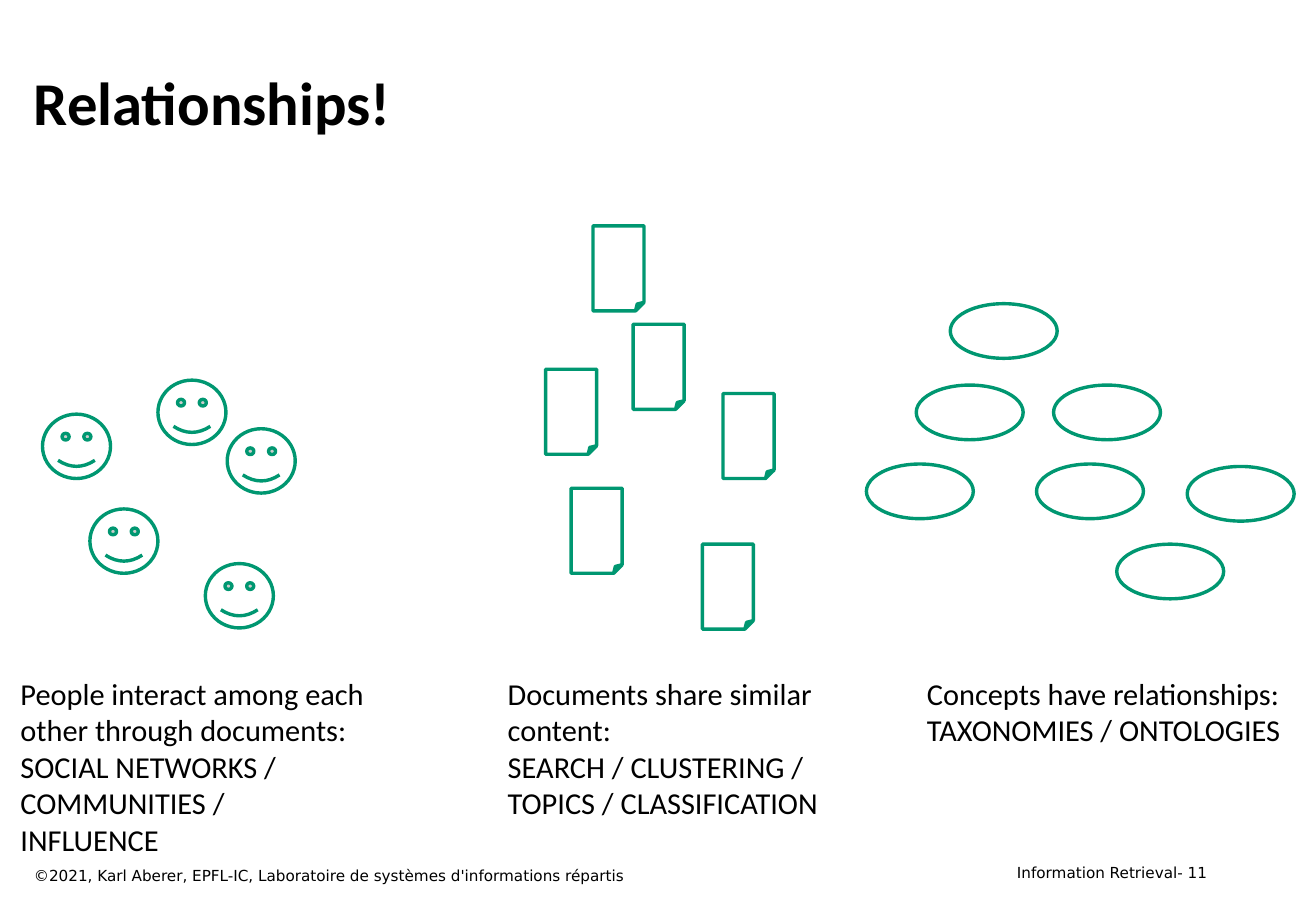
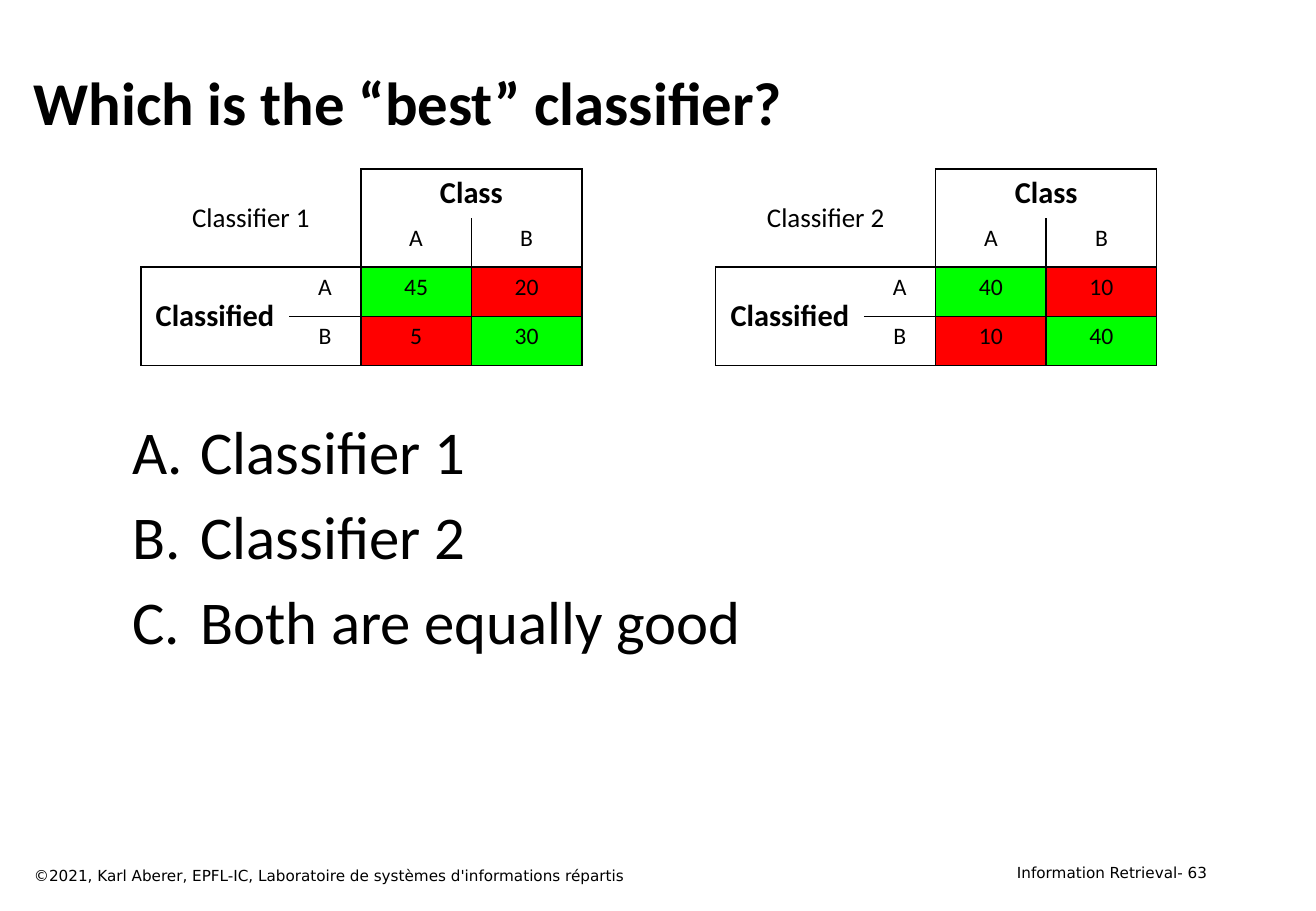
from lxml import etree
from pptx import Presentation
from pptx import util as u
from pptx.dml.color import RGBColor
from pptx.enum import shapes, text
from pptx.oxml import ns

BLACK, WHITE, TEAL = "000000", "FFFFFF", "009771"
GREEN, RED = "00FF00", "FF0000"
BODY_FONT, FOOTER_FONT = "Calibri", "DejaVu Sans"
COPYRIGHT = "©2021, Karl Aberer, EPFL-IC, Laboratoire de systèmes d'informations répartis"

PEOPLE = [(0.74, 4.19), (0.35, 3.41), (1.69, 4.64), (1.87, 3.53), (1.3, 3.13)]
DOCUMENTS = [(5.78, 4.48), (4.7, 4.02), (4.88, 1.86), (4.49, 3.04), (5.21, 2.67), (5.95, 3.24)]
CONCEPTS = [(7.82, 2.5), (7.54, 3.17), (8.67, 3.17), (7.13, 3.82), (8.53, 3.82),
            (9.77, 3.84), (9.19, 4.48)]
CAPTIONS = [
    (0.07, 3.62, ["People interact among each other through documents:",
                  "SOCIAL NETWORKS / COMMUNITIES /", "INFLUENCE"]),
    (4.08, 3.15, ["Documents share similar content:",
                  "SEARCH / CLUSTERING / TOPICS / CLASSIFICATION"]),
    (7.53, 3.2, ["Concepts have relationships:", "TAXONOMIES / ONTOLOGIES"]),
]

MATRIX_COLUMNS = [1.22, 0.59, 0.91, 0.91]
MATRIX_MERGES = [((0, 0), (1, 1)), ((0, 2), (0, 3)), ((2, 0), (3, 0))]
MATRIX_BORDERS = [
    ["RB", "R", "LTR", "TR"],
    ["B", "RB", "LRB", "LRB"],
    ["LTB", "TRB", "LRTB", "LRTB"],
    ["LB", "TRB", "LRTB", "LRTB"],
]


def color(hex_code):
    return RGBColor.from_string(hex_code)


def write(paragraph, words, size, font=BODY_FONT, bold=False):
    run = paragraph.add_run()
    run.text = words
    run.font.size = u.Pt(size)
    run.font.name = font
    run.font.bold = bold
    run.font.color.rgb = color(BLACK)


def add_text(slide, box, lines, size, font=BODY_FONT, bold=False, align=text.PP_ALIGN.LEFT,
             anchor=text.MSO_ANCHOR.TOP):
    frame = slide.shapes.add_textbox(*map(u.Inches, box)).text_frame
    frame.word_wrap = True
    frame.vertical_anchor = anchor
    for index, line in enumerate(lines):
        paragraph = frame.add_paragraph() if index else frame.paragraphs[0]
        paragraph.alignment = align
        write(paragraph, line, size, font, bold)
    return frame


def add_slide(deck, title, number):
    slide = deck.slides.add_slide(deck.slide_layouts[6])
    add_text(slide, (0.18, 0.33, 9.84, 1), [title], 36, bold=True,
             anchor=text.MSO_ANCHOR.MIDDLE)
    add_text(slide, (0.18, 7.08, 6.95, 0.25), [COPYRIGHT], 9, FOOTER_FONT)
    add_text(slide, (7.77, 7.06, 2.26, 0.25), [f"Information Retrieval- {number}"], 9,
             FOOTER_FONT, align=text.PP_ALIGN.RIGHT)
    return slide


def add_icons(slide, kind, places, width, height):
    for left, top in places:
        icon = slide.shapes.add_shape(kind, *map(u.Inches, (left, top, width, height)))
        icon.shadow.inherit = False
        icon.fill.solid()
        icon.fill.fore_color.rgb = color(WHITE)
        icon.line.color.rgb = color(TEAL)
        icon.line.width = u.Pt(2)


def add_choices(slide, box, choices):
    frame = add_text(slide, box, choices, 36)
    for index, paragraph in enumerate(frame.paragraphs):
        properties = paragraph._p.get_or_add_pPr()
        properties.set("marL", str(u.Inches(0.94)))
        properties.set("indent", str(u.Inches(-0.56)))
        numbering = etree.SubElement(properties, ns.qn("a:buAutoNum"))
        numbering.set("type", "alphaUcPeriod")
        if index:
            paragraph.space_before = u.Pt(7.2)


def set_borders(cell, drawn):
    properties = cell._tc.get_or_add_tcPr()
    for side in "LRTB":
        edge = etree.SubElement(properties, ns.qn(f"a:ln{side}"), w=str(u.Pt(1)))
        if side in drawn:
            fill = etree.SubElement(edge, ns.qn("a:solidFill"))
            etree.SubElement(fill, ns.qn("a:srgbClr"), val=BLACK)
        else:
            etree.SubElement(edge, ns.qn("a:noFill"))


def write_cell(cell, words, size=14, bold=False, anchor=text.MSO_ANCHOR.TOP):
    cell.vertical_anchor = anchor
    paragraph = cell.text_frame.paragraphs[0]
    paragraph.alignment = text.PP_ALIGN.CENTER
    write(paragraph, words, size, bold=bold)


def add_confusion_matrix(slide, left, name, counts):
    box = map(u.Inches, (left, 1.39, sum(MATRIX_COLUMNS), 1.62))
    matrix = slide.shapes.add_table(4, 4, *box).table
    matrix.first_row = matrix.horz_banding = False
    for column, width in zip(matrix.columns, MATRIX_COLUMNS):
        column.width = u.Inches(width)
    for row, borders in enumerate(MATRIX_BORDERS):
        for column, drawn in enumerate(borders):
            cell = matrix.cell(row, column)
            set_borders(cell, drawn)
            cell.fill.background()
    for first, last in MATRIX_MERGES:
        matrix.cell(*first).merge(matrix.cell(*last))

    middle = text.MSO_ANCHOR.MIDDLE
    write_cell(matrix.cell(0, 0), name, 16, anchor=middle)
    write_cell(matrix.cell(0, 2), "Class", 18, True, middle)
    write_cell(matrix.cell(2, 0), "Classified", 18, True, middle)
    for index, label in enumerate("AB"):
        write_cell(matrix.cell(1, 2 + index), label)
        write_cell(matrix.cell(2 + index, 1), label)
        for predicted, count in enumerate(counts[index]):
            cell = matrix.cell(2 + index, 2 + predicted)
            write_cell(cell, str(count))
            cell.fill.solid()
            cell.fill.fore_color.rgb = color(GREEN if index == predicted else RED)


def add_relationships(deck):
    slide = add_slide(deck, "Relationships!", 11)
    add_icons(slide, shapes.MSO_SHAPE.SMILEY_FACE, PEOPLE, 0.56, 0.53)
    add_icons(slide, shapes.MSO_SHAPE.FOLDED_CORNER, DOCUMENTS, 0.42, 0.7)
    add_icons(slide, shapes.MSO_SHAPE.OVAL, CONCEPTS, 0.88, 0.45)
    for left, width, lines in CAPTIONS:
        add_text(slide, (left, 5.51, width, 1.6), lines, 18)


def add_classifier_question(deck):
    slide = add_slide(deck, "Which is the “best” classifier?", 63)
    add_confusion_matrix(slide, 1.16, "Classifier 1", [(45, 20), (5, 30)])
    add_confusion_matrix(slide, 5.89, "Classifier 2", [(40, 10), (10, 40)])
    add_choices(slide, (0.61, 3.36, 9.08, 3.61),
                ["Classifier 1", "Classifier 2", "Both are equally good"])


def main():
    deck = Presentation()
    deck.slide_width, deck.slide_height = u.Inches(10.83), u.Inches(7.5)
    add_relationships(deck)
    add_classifier_question(deck)
    deck.save("out.pptx")


if __name__ == "__main__":
    main()
